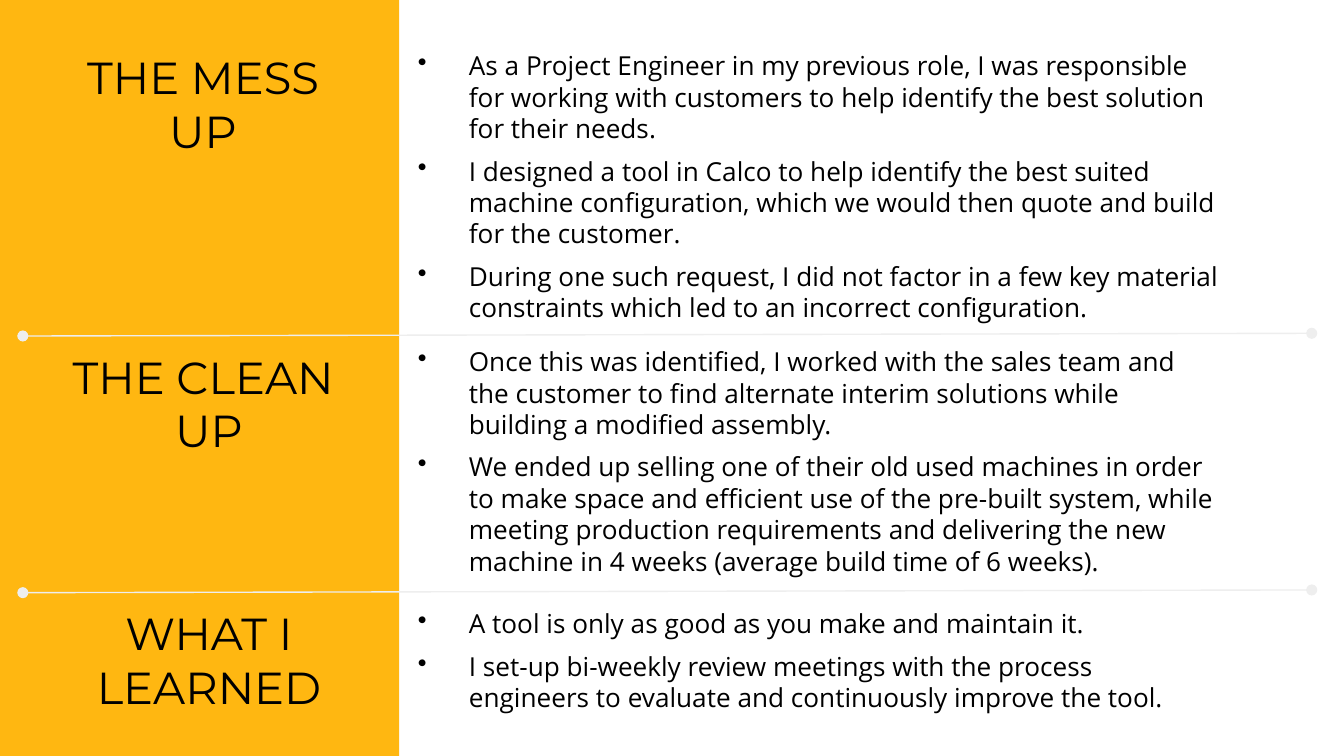
from lxml.etree import SubElement
from pptx import Presentation
from pptx.dml.color import RGBColor
from pptx.enum.shapes import MSO_CONNECTOR, MSO_SHAPE
from pptx.enum.text import PP_ALIGN
from pptx.oxml.ns import qn
from pptx.util import Inches, Pt

AMBER = RGBColor(0xFF, 0xB7, 0x11)
BLACK = RGBColor(0, 0, 0)
PALE_GRAY = RGBColor(0xEE, 0xEE, 0xEE)

# Grid in inches: heading column, story column, three section rows
HEADING_LEFT, STORY_LEFT, STORY_WIDTH = 0.35, 2.89, 6.29
ROW_TOPS = [0.27, 2.5, 4.41]
RULE_LEFT, RULE_RIGHT, RULE_RISE = 0.17, 9.76, 0.02

# Lines, width and height of each heading
HEADINGS = [
    (["THE MESS UP"], 2.32, 1),
    (["THE CLEAN ", "UP"], 2.41, 0.63),
    (["WHAT I LEARNED"], 2.41, 0.63),
]

# Each section: space before its first bullet, then its bullets
SECTIONS = [
    (0, [
        "As a Project Engineer in my previous role, I was responsible for working "
        "with customers to help identify the best solution for their needs.",
        "I designed a tool in Calco to help identify the best suited machine "
        "configuration, which we would then quote and build for the customer.",
        "During one such request, I did not factor in a few key material "
        "constraints which led to an incorrect configuration.",
    ]),
    (12, [
        "Once this was identified, I worked with the sales team and the customer to "
        "find alternate interim solutions while building a modified assembly.",
        "We ended up selling one of their old used machines in order to make space "
        "and efficient use of the pre-built system, while meeting production "
        "requirements and delivering the new machine in 4 weeks (average build "
        "time of 6 weeks).",
    ]),
    (16.8, [
        "A tool is only as good as you make and maintain it.",
        "I set-up bi-weekly review meetings with the process\vengineers to evaluate "
        "and continuously improve the tool.",
    ]),
]
BULLET_GAP = 6


def add_text_frame(left, top, width, height):
    box = slide.shapes.add_textbox(Inches(left), Inches(top), Inches(width), Inches(height))
    frame = box.text_frame
    frame.word_wrap = True
    frame.margin_left = frame.margin_right = Inches(0.1)
    frame.margin_top = frame.margin_bottom = Inches(0.1)
    return frame


def add_paragraph(frame, index, text, font_name, size):
    paragraph = frame.add_paragraph() if index else frame.paragraphs[0]
    paragraph.text = text
    paragraph.font.name = font_name
    paragraph.font.size = Pt(size)
    paragraph.font.color.rgb = BLACK
    return paragraph


presentation = Presentation()
presentation.slide_width = Inches(10)
presentation.slide_height = Inches(10) * 9 // 16
slide = presentation.slides.add_slide(presentation.slide_layouts[6])

# Amber side panel
panel = slide.shapes.add_shape(
    MSO_SHAPE.RECTANGLE, 0, 0, Inches(2.97), presentation.slide_height)
panel.shadow.inherit = False
panel.fill.solid()
panel.fill.fore_color.rgb = AMBER
panel.line.fill.background()

# Section headings
for (lines, width, height), top in zip(HEADINGS, ROW_TOPS):
    frame = add_text_frame(HEADING_LEFT, top, width, height)
    for index, line in enumerate(lines):
        paragraph = add_paragraph(frame, index, line, "Montserrat", 24)
        paragraph.alignment = PP_ALIGN.CENTER

# Story bullets, running through all three sections
frame = add_text_frame(STORY_LEFT, ROW_TOPS[0], STORY_WIDTH, 2.2)
bullets = [
    (text, BULLET_GAP if position else section_gap)
    for section_gap, texts in SECTIONS
    for position, text in enumerate(texts)
]
for index, (text, gap) in enumerate(bullets):
    paragraph = add_paragraph(frame, index, text, "Open Sans", 14)
    if gap:
        paragraph.space_before = Pt(gap)
    properties = paragraph._p.get_or_add_pPr()
    properties.set("marL", str(Inches(0.5)))
    properties.set("indent", str(Inches(-0.38)))
    bullet = SubElement(properties, qn("a:buChar"), char="•")
    properties.find(qn("a:defRPr")).addprevious(bullet)

# Dividing rules with round ends
for top in ROW_TOPS[1:]:
    rule = slide.shapes.add_connector(
        MSO_CONNECTOR.STRAIGHT, Inches(RULE_LEFT), Inches(top),
        Inches(RULE_RIGHT), Inches(top - RULE_RISE))
    rule.line.color.rgb = PALE_GRAY
    rule.line.width = Pt(0.75)
    line_properties = rule.line._get_or_add_ln()
    for end in ("a:headEnd", "a:tailEnd"):
        SubElement(line_properties, qn(end), type="oval")
    SubElement(rule._element.spPr, qn("a:effectLst"))

presentation.save("out.pptx")
